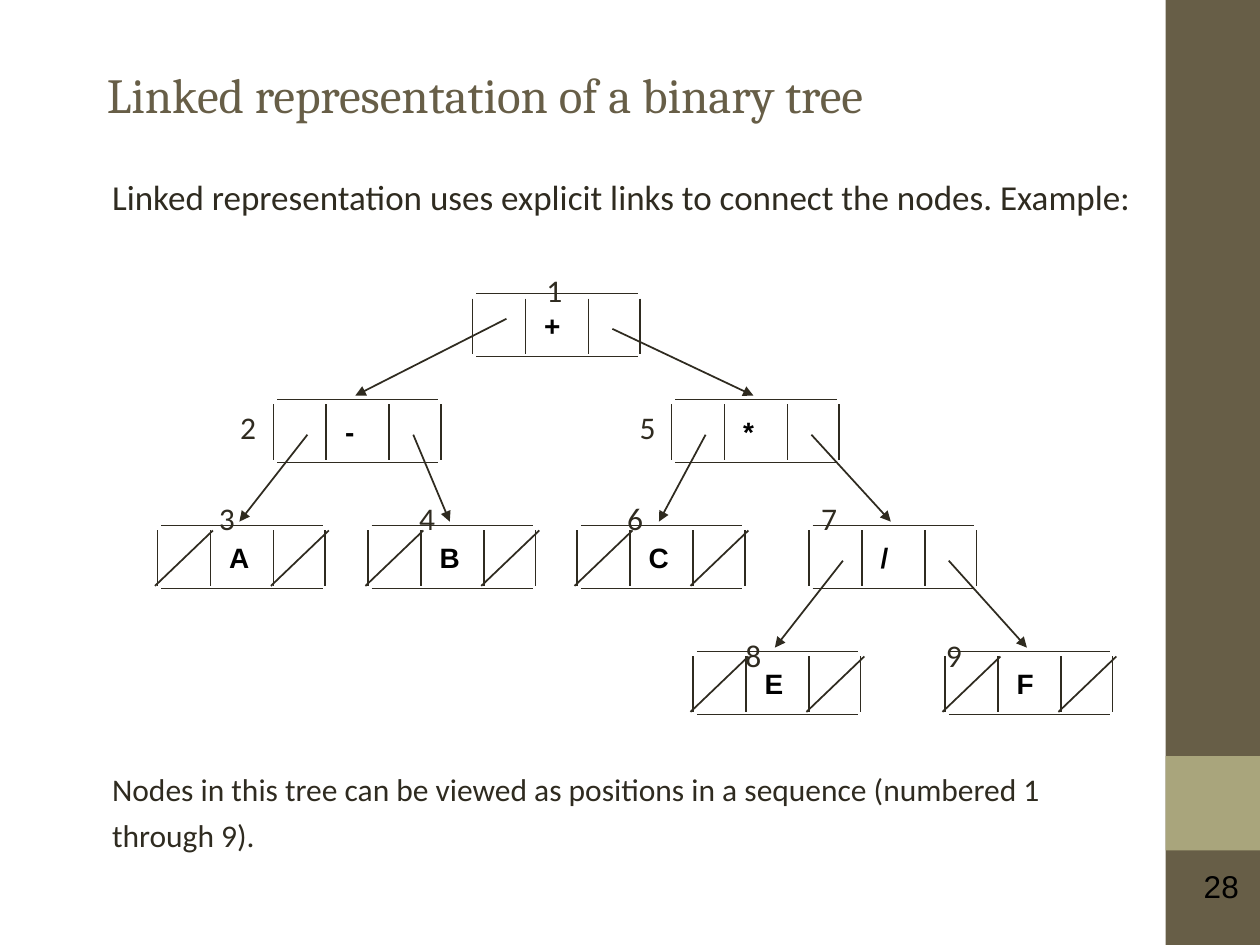
"""Build a slide showing a binary tree as linked nodes."""
from dataclasses import dataclass

from lxml.etree import SubElement
from pptx import Presentation
from pptx.dml.color import RGBColor as RGB
from pptx.enum.shapes import MSO_CONNECTOR as CONN, MSO_SHAPE as SHAPE
from pptx.enum.text import MSO_ANCHOR as ANCHOR, PP_ALIGN as ALIGN
from pptx.oxml.ns import qn
from pptx.util import Inches, Pt


@dataclass(frozen=True)
class Theme:
    brown: RGB = RGB.from_string("675E47")
    green: RGB = RGB.from_string("A9A57C")
    ink: RGB = RGB.from_string("2F2B20")
    black: RGB = RGB.from_string("000000")
    head_font: str = "Cambria"
    body_font: str = "Calibri"
    mark_font: str = "Arial"
    title: int = 28
    lead: int = 20
    body: int = 18
    key: int = 16
    line: int = 1


class Deck:
    def __init__(self, prs, theme):
        self.t = theme
        self.s = prs.slides.add_slide(prs.slide_layouts[6])

    def bar(self, x, y, w, h, color):
        sp = self.s.shapes.add_shape(SHAPE.RECTANGLE, Inches(x), Inches(y), Inches(w), Inches(h))
        sp.shadow.inherit = False
        sp.fill.solid()
        sp.fill.fore_color.rgb = color
        sp.line.fill.background()

    def text(self, box, paras, font, color, bold=False, align=ALIGN.LEFT,
             anchor=ANCHOR.TOP, wrap=False, indent=0.1, shapes=None):
        sp = (shapes or self.s.shapes).add_textbox(*map(Inches, box))
        tf = sp.text_frame
        tf.word_wrap, tf.vertical_anchor = wrap, anchor
        tf.margin_left = Inches(indent)
        tf.text = "\n".join(line for line, _, _ in paras)
        for p, (_, size, before) in zip(tf.paragraphs, paras):
            p.alignment = align
            if before:
                p.space_before = Pt(before)
            for r in p.runs:
                r.font.name, r.font.size, r.font.bold = font, Pt(size), bold
                r.font.color.rgb = color

    def line(self, x1, y1, x2, y2, arrow=False, shapes=None):
        c = (shapes or self.s.shapes).add_connector(CONN.STRAIGHT, *map(Inches, (x1, y1, x2, y2)))
        c.line.width = Pt(self.t.line)
        c.line.color.rgb = self.t.ink
        if arrow:
            SubElement(c.line._get_or_add_ln(), qn("a:tailEnd"), type="triangle")
        SubElement(c._element.spPr, qn("a:effectLst"))

    def node(self, x, y, key):
        g = self.s.shapes.add_group_shape().shapes
        for dy in (0, 0.5):
            self.line(x + 0.03, y + dy, x + 1.31, y + dy, shapes=g)
        for dx in (0, 0.42, 0.92, 1.33):
            self.line(x + dx, y + 0.04, x + dx, y + 0.48, shapes=g)
        self.text((x + 0.47, y + 0.07, 0.36, 0.36), [(key, self.t.key, 0)],
                  self.t.mark_font, self.t.black, bold=True, shapes=g)

    def empty_links(self, x, y):
        for dx in (0, 0.92):
            self.line(x + dx + 0.44, y + 0.04, x + dx - 0.02, y + 0.48)

    def link(self, parent, child, dx, dy):
        (px, py), (cx, cy) = parent, child
        self.line(px + dx, py + dy, cx + 0.65, cy - 0.03, arrow=True)

    def number(self, cx, cy, n):
        self.text((cx - 0.2, cy - 0.21, 0.4, 0.4), [(str(n), self.t.body, 0)],
                  self.t.body_font, self.t.ink, align=ALIGN.CENTER)


LEVELS = (2.33, 3.17, 4.17, 5.17)
NUMBER_Y = (2.31, 3.4, 4.12, 5.21)

# number: (key, left, level, number centre)
NODES = {
    1: ("+", 3.75, 0, 4.4),
    2: ("-", 2.17, 1, 1.97),
    3: ("A", 1.25, 2, 1.8),
    4: ("B", 2.92, 2, 3.39),
    5: ("*", 5.33, 1, 5.14),
    6: ("C", 4.58, 2, 5.04),
    7: ("/", 6.42, 2, 6.58),
    8: ("E", 5.5, 3, 5.98),
    9: ("F", 7.5, 3, 7.57),
}
CHILDREN = {1: (2, 5), 2: (3, 4), 5: (6, 7), 7: (8, 9)}


def main():
    t = Theme()
    prs = Presentation()
    prs.slide_width, prs.slide_height = Inches(10), Inches(7.5)
    d = Deck(prs, t)

    d.bar(9.25, 0, 0.75, 7.5, t.brown)
    d.bar(9.25, 6, 0.75, 0.75, t.green)
    d.text((8.59, 6.83, 1.34, 0.4), [("28", t.body, 0)], t.mark_font, t.black, align=ALIGN.RIGHT)
    d.text((0.75, 0.33, 8.5, 0.83), [("Linked representation of a binary tree", t.title, 0)],
           t.head_font, t.brown, anchor=ANCHOR.MIDDLE, wrap=True)
    d.text((0.67, 1.34, 9, 5.83), [
        ("Linked representation uses explicit links to connect the nodes. Example:", t.lead, 0),
        ("Nodes in this tree can be viewed as positions in a sequence (numbered 1", t.body, 316),
        ("through 9).", t.body, 4.5),
    ], t.body_font, t.ink, wrap=True, indent=0.22)

    spots = {n: (x, LEVELS[level]) for n, (_, x, level, _) in NODES.items()}
    for n, (key, _, level, cx) in NODES.items():
        d.node(*spots[n], key)
        d.number(cx, NUMBER_Y[level], n)
        if n not in CHILDREN:
            d.empty_links(*spots[n])
    for n, (left, right) in CHILDREN.items():
        d.link(spots[n], spots[left], 0.27, 0.2 if n == 1 else 0.28)
        d.link(spots[n], spots[right], 1.11, 0.28)

    prs.save("out.pptx")


if __name__ == "__main__":
    main()
